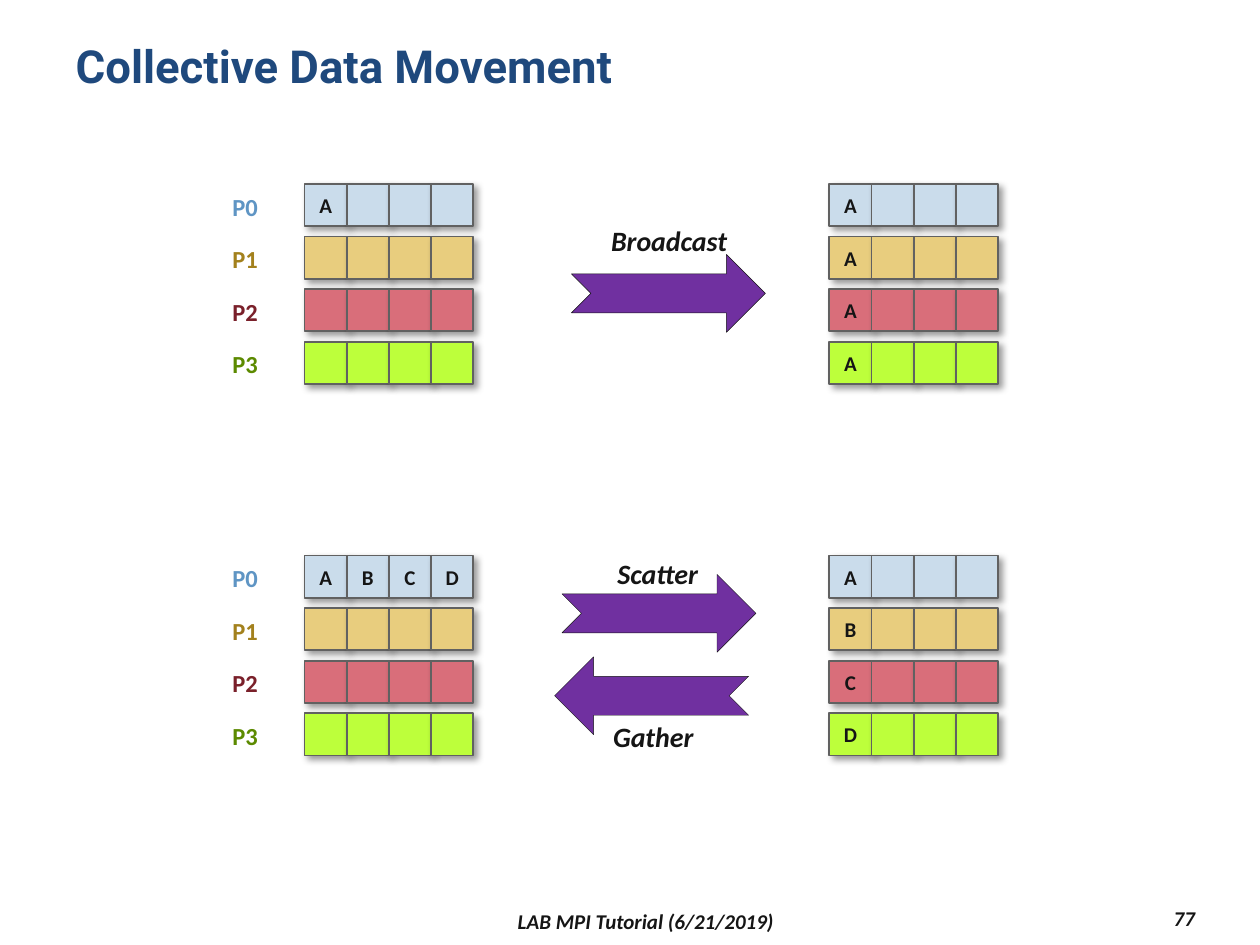
import dataclasses

import lxml.etree
import pptx
import pptx.dml.color
import pptx.enum.shapes
import pptx.enum.text
import pptx.oxml
import pptx.oxml.ns
import pptx.util

Cm = pptx.util.Cm
Pt = pptx.util.Pt
Align = pptx.enum.text.PP_ALIGN
Anchor = pptx.enum.text.MSO_ANCHOR
Shape = pptx.enum.shapes.MSO_SHAPE


@dataclasses.dataclass(frozen=True)
class Theme:
    title_font: str = "Roboto"
    body_font: str = "Calibri"
    title_size: int = 26
    action_size: int = 16
    label_size: int = 14
    small_size: int = 12
    title_color: str = "1F497D"
    ink: str = "151515"
    cell_line: str = "616161"
    arrow_fill: str = "7030A0"
    row_fills: tuple = ("CADCEB", "E8CD7E", "D96E7A", "BDFF3B")
    label_colors: tuple = ("5F95C4", "A3811D", "7A202A", "5C8A00")


CELL = 0.85
ROW_PITCH = 1.06
LABEL_LEFT = 4.42
SENDER_LEFT = 6.14
RECEIVER_LEFT = 16.72
BROADCAST_TOP = 3.71
SCATTER_TOP = 11.2
COLUMNS = 4


def rgb(value):
    return pptx.dml.color.RGBColor.from_string(value)


class SlidePainter:
    def __init__(self, page, theme):
        self.page = page
        self.theme = theme
        self.layer = page.shapes

    def start_group(self):
        self.layer = self.page.shapes.add_group_shape().shapes

    def add_span(self, frame, text, size, color, font=None, align=Align.CENTER, italic=False):
        para = frame.paragraphs[0]
        para.alignment = align
        span = para.add_run()
        span.text = text
        span.font.name = font or self.theme.body_font
        span.font.size = Pt(size)
        span.font.color.rgb = rgb(color)
        span.font.bold = True
        span.font.italic = italic
        return para

    def title(self, text):
        box = self.page.shapes.title
        box.left, box.top, box.width, box.height = Cm(1.27), Cm(0.76), Cm(22.86), Cm(2.21)
        frame = box.text_frame
        frame.auto_size = pptx.enum.text.MSO_AUTO_SIZE.NONE
        frame.vertical_anchor = Anchor.TOP
        theme = self.theme
        para = self.add_span(frame, text, theme.title_size, theme.title_color,
                             theme.title_font, Align.LEFT)
        para.line_spacing = 0.9

    def text(self, text, left, top, width, height, size, color, wrap=False,
             anchor=Anchor.TOP, align=Align.CENTER, italic=False):
        box = self.layer.add_textbox(Cm(left), Cm(top), Cm(width), Cm(height))
        box.text_frame.word_wrap = wrap
        box.text_frame.vertical_anchor = anchor
        self.add_span(box.text_frame, text, size, color, align=align, italic=italic)

    def footer(self, text, left, top, width, align):
        self.text(text, left, top, width, 0.69, self.theme.small_size, self.theme.ink,
                  wrap=True, anchor=Anchor.MIDDLE, align=align, italic=True)

    def shape(self, kind, left, top, width, height, fill, line, line_width):
        shape = self.layer.add_shape(kind, Cm(left), Cm(top), Cm(width), Cm(height))
        shape.shadow.inherit = False
        shape.fill.solid()
        shape.fill.fore_color.rgb = rgb(fill)
        shape.line.color.rgb = rgb(line)
        shape.line.width = Pt(line_width)
        return shape

    def add_shadow(self, shape):
        qn = pptx.oxml.ns.qn
        effects = shape._element.spPr.find(qn("a:effectLst"))
        shadow = lxml.etree.SubElement(
            effects, qn("a:outerShdw"), blurRad=str(Pt(4)), dist=str(Pt(3)),
            dir="2700000", algn="tl", rotWithShape="0")
        color = lxml.etree.SubElement(shadow, qn("a:srgbClr"), val="000000")
        lxml.etree.SubElement(color, qn("a:alpha"), val="40000")

    def cell(self, left, top, fill, letter):
        shape = self.shape(Shape.RECTANGLE, left, top, CELL, CELL, fill,
                           self.theme.cell_line, 1)
        self.add_shadow(shape)
        if letter.strip():
            frame = shape.text_frame
            frame.word_wrap = False
            frame.vertical_anchor = Anchor.MIDDLE
            self.add_span(frame, letter, self.theme.small_size, self.theme.ink)

    def buffers(self, left, top, rows, labelled=False):
        self.start_group()
        theme = self.theme
        for row, letters in enumerate(rows):
            row_top = top + row * ROW_PITCH
            for column, letter in enumerate(letters.ljust(COLUMNS)):
                self.cell(left + column * CELL, row_top, theme.row_fills[row], letter)
            if labelled:
                self.text(f"P{row}", LABEL_LEFT, row_top + 0.03, 1.04, 0.86,
                          theme.label_size, theme.label_colors[row])

    def action(self, name, name_left, name_top, name_width, left, top, rotation=0):
        self.start_group()
        theme = self.theme
        self.text(name, name_left, name_top, name_width, 0.94,
                  theme.action_size, theme.ink, italic=True)
        arrow = self.shape(Shape.NOTCHED_RIGHT_ARROW, left, top, 3.91, 1.57,
                           theme.arrow_fill, theme.ink, 0.25)
        arrow.rotation = rotation


def main():
    deck = pptx.Presentation()
    deck.slide_width, deck.slide_height = Cm(25.4), Cm(19.05)
    page = deck.slides.add_slide(deck.slide_layouts[5])
    painter = SlidePainter(page, Theme())

    painter.title("Collective Data Movement")
    painter.footer("LAB MPI Tutorial (6/21/2019)", 5.5, 18.22, 15.04, Align.CENTER)
    painter.footer("77", 21.59, 18.17, 2.75, Align.RIGHT)

    painter.buffers(SENDER_LEFT, BROADCAST_TOP, ["A", "", "", ""], labelled=True)
    painter.buffers(RECEIVER_LEFT, BROADCAST_TOP, ["A", "A", "A", "A"])
    painter.action("Broadcast", 12.04, 4.39, 2.9, 11.52, 5.13)

    painter.buffers(SENDER_LEFT, SCATTER_TOP, ["ABCD", "", "", ""], labelled=True)
    painter.buffers(RECEIVER_LEFT, SCATTER_TOP, ["A", "B", "C", "D"])
    painter.action("Scatter", 12.17, 11.1, 2.18, 11.33, 11.58)
    painter.action("Gather", 12.09, 14.38, 2.16, 11.18, 13.24, rotation=180)

    deck.save("out.pptx")


if __name__ == "__main__":
    main()
